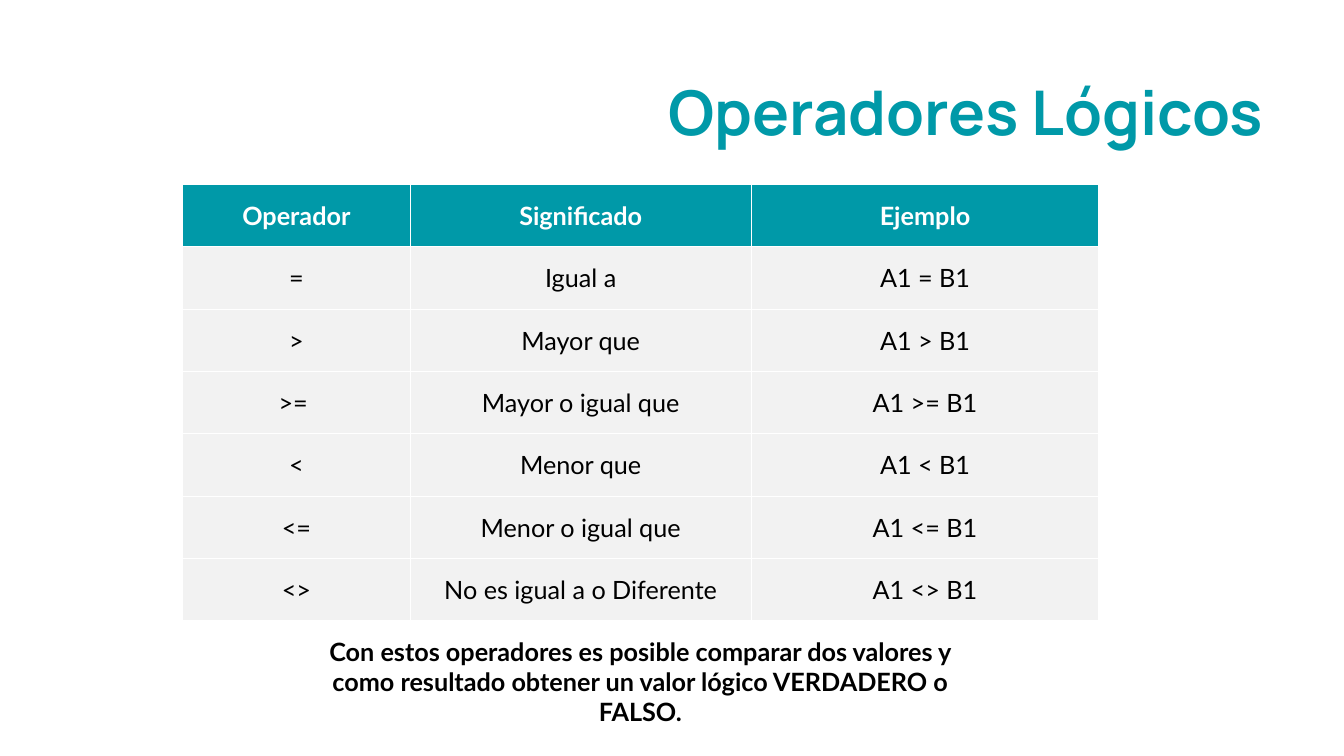
from dataclasses import dataclass

from pptx import Presentation
from pptx import util as u
from pptx.dml.color import RGBColor
from pptx.enum import text


@dataclass(frozen=True)
class Theme:
    teal: RGBColor = RGBColor.from_string("0099A8")
    gray: RGBColor = RGBColor.from_string("F2F2F2")
    white: RGBColor = RGBColor.from_string("FFFFFF")
    black: RGBColor = RGBColor.from_string("000000")
    title_font: str = "Manrope"
    body_font: str = "Lato"
    title_size: int = 44
    body_size: int = 18


theme = Theme()


def style(paragraph, align, font, size, color, bold):
    paragraph.alignment = align
    paragraph.font.name = font
    paragraph.font.size = u.Pt(size)
    paragraph.font.color.rgb = color
    paragraph.font.bold = bold


deck = Presentation()
deck.slide_width = u.Inches(13.33)
deck.slide_height = u.Inches(7.5)
slide = deck.slides.add_slide(deck.slide_layouts[5])

title = slide.shapes.title
title.left, title.top = u.Inches(1.93), u.Inches(0.62)
title.width, title.height = u.Inches(10.7), u.Inches(0.91)
title.text_frame.text = "Operadores Lógicos"
title.text_frame.vertical_anchor = text.MSO_ANCHOR.BOTTOM
title.text_frame.auto_size = text.MSO_AUTO_SIZE.NONE
heading = title.text_frame.paragraphs[0]
heading.line_spacing = 0.9
style(heading, text.PP_ALIGN.RIGHT, theme.title_font, theme.title_size, theme.teal, True)

meanings = [
    ("=", "Igual a"),
    (">", "Mayor que"),
    (">= ", "Mayor o igual que"),
    ("<", "Menor que"),
    ("<=", "Menor o igual que"),
    ("<>", "No es igual a o Diferente"),
]
rows = [("Operador", "Significado", "Ejemplo")]
rows += [(sign, meaning, f"A1 {sign.strip()} B1") for sign, meaning in meanings]
column_widths = [2.26, 3.38, 3.45]

operators = slide.shapes.add_table(
    len(rows), len(column_widths),
    u.Inches(1.81), u.Inches(1.83), u.Inches(9.09), u.Inches(4.33),
).table
operators.horz_banding = False
for column, width in zip(operators.columns, column_widths):
    column.width = u.Inches(width)

for row_index, row in enumerate(rows):
    is_header = row_index == 0
    for column_index, wording in enumerate(row):
        cell = operators.cell(row_index, column_index)
        cell.text = wording
        cell.vertical_anchor = text.MSO_ANCHOR.MIDDLE
        cell.fill.solid()
        cell.fill.fore_color.rgb = theme.teal if is_header else theme.gray
        style(
            cell.text_frame.paragraphs[0], text.PP_ALIGN.CENTER,
            theme.body_font, theme.body_size,
            theme.white if is_header else theme.black, is_header,
        )

conclusion = slide.shapes.add_textbox(
    u.Inches(2.84), u.Inches(6.26), u.Inches(7.02), u.Inches(0.71)
).text_frame
conclusion.word_wrap = True
conclusion.auto_size = text.MSO_AUTO_SIZE.SHAPE_TO_FIT_TEXT
conclusion.text = (
    "Con estos operadores es posible comparar dos valores y como resultado "
    "obtener un valor lógico VERDADERO o FALSO."
)
style(
    conclusion.paragraphs[0], text.PP_ALIGN.CENTER,
    theme.body_font, theme.body_size, theme.black, True,
)

deck.save("out.pptx")
